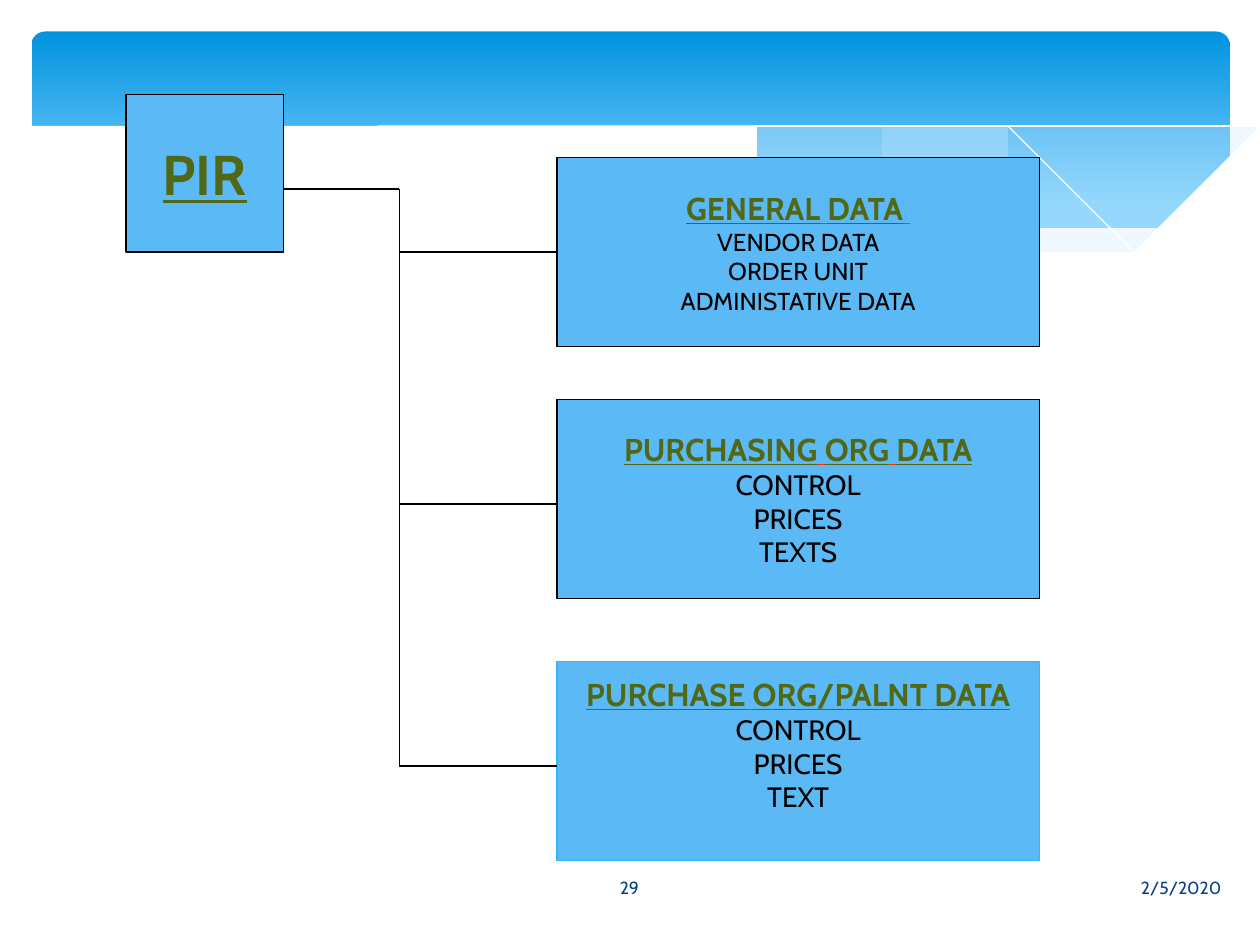
from lxml import etree
from pptx import Presentation
from pptx.dml.color import RGBColor
from pptx.enum.shapes import MSO_CONNECTOR, MSO_SHAPE
from pptx.enum.text import MSO_ANCHOR, PP_ALIGN
from pptx.oxml.ns import qn
from pptx.util import Inches, Pt

RECT, ROUND = MSO_SHAPE.RECTANGLE, MSO_SHAPE.ROUNDED_RECTANGLE
STRAIGHT = MSO_CONNECTOR.STRAIGHT
MIDDLE = MSO_ANCHOR.MIDDLE
CENTER, RIGHT = PP_ALIGN.CENTER, PP_ALIGN.RIGHT
FONT = "Cabin"
BLACK, WHITE, GREEN, RED = "000000", "FFFFFF", "526814", "FF3300"
BOX_FILL, NAVY, PALE = "5BBAF6", "073E87", "C6E7FC"

# Content: heading, lines, line size, top, height, outline, bottom inset, branch y
BOXES = [
    ("GENERAL DATA ", ["VENDOR DATA", "ORDER UNIT", "ADMINISTATIVE DATA"],
     14, 1.25, 1.5, BLACK, 0.05, 2),
    ("PURCHASING ORG DATA", ["CONTROL", "PRICES", "TEXTS"],
     16, 3.17, 1.58, BLACK, 0.05, 4),
    ("PURCHASE ORG/PALNT DATA", ["CONTROL", "PRICES", "TEXT"],
     16, 5.25, 1.58, "31B6FD", 0.32, 6.08),
]
BOX_LEFT, BOX_WIDTH, TRUNK_X, ROOT_Y = 4.42, 3.83, 3.17, 1.5
FOOTERS = [("2/5/2020", 5.65, 4.14, RIGHT), ("29", 4.36, 1.27, CENTER)]

# Header waves: smooth strokes given by their knots, fill, opacity in percent
WAVES = [
    ([[(9.76, 0.94), (8.61, 1.18), (6.61, 1.6)],
      [(6.61, 1.6), (8.14, 1.72), (9.05, 1.63), (9.76, 1.41)]], PALE, 29),
    ([[(8.93, 1.67), (7.41, 1.42), (5.84, 1.06), (4.2, 0.82), (2.86, 0.86)],
      [(2.86, 0.86), (4.49, 1.16), (6.01, 1.5), (7.48, 1.7), (8.93, 1.67)]], PALE, 40),
    ([[(3.09, 0.9), (4.5, 0.82), (6.08, 0.98), (7.6, 1.28), (9.07, 1.66)]], None, 100),
    ([[(6.13, 1.51), (7.48, 1.17), (8.66, 0.93), (9.75, 0.8)]], None, 100),
    ([[(9.77, 1.41), (8.23, 1.71), (6.26, 1.53), (4.47, 1.14), (3.16, 0.88),
       (1.77, 0.78), (0.76, 0.89), (0.23, 1.07)],
      [(0.23, 2.24), (9.77, 2.24)]], WHITE, 100),
]
STEPS = 8


def color(value):
    return RGBColor.from_string(value)


def smooth(knots):
    """Points of a Catmull-Rom curve through the knots."""
    ends = [knots[0], *knots, knots[-1]]
    points = [knots[0]]
    for quad in zip(ends, ends[1:], ends[2:], ends[3:]):
        for step in range(1, STEPS + 1):
            t = step / STEPS
            points.append(tuple(
                b + t / 2 * (c - a + t * (2 * a - 5 * b + 4 * c - d
                                          + t * (3 * b - a - 3 * c + d)))
                for a, b, c, d in zip(*quad)))
    return points


def add_text(p, text, size=16, fill=BLACK, bold=False, underline=False, align=CENTER):
    p.alignment = align
    r = p.add_run()
    r.text = text
    f = r.font
    f.name, f.size, f.bold, f.underline = FONT, Pt(size), bold, underline
    f.color.rgb = color(fill)


def add_heading(p, text, size):
    for i, word in enumerate(text.split(" ")):
        if i:
            add_text(p, " ", size=size, fill=RED, bold=True, underline=True)
        if word:
            add_text(p, word, size=size, fill=GREEN, bold=True, underline=True)


def add_box(s, x, y, w, h, heading, size, outline=BLACK, bottom=0.05):
    sp = s.shapes.add_shape(RECT, Inches(x), Inches(y), Inches(w), Inches(h))
    sp.shadow.inherit = False
    sp.fill.solid()
    sp.fill.fore_color.rgb = color(BOX_FILL)
    sp.line.color.rgb = color(outline)
    sp.line.width = Pt(0.75)
    tf = sp.text_frame
    tf.word_wrap = False
    tf.vertical_anchor = MIDDLE
    tf.margin_bottom = Inches(bottom)
    add_heading(tf.paragraphs[0], heading, size)
    return sp


def add_wave(s, strokes, fill, opacity):
    points = [point for knots in strokes for point in smooth(knots)]
    fb = s.shapes.build_freeform(*points[0], scale=float(Inches(1)))
    fb.add_line_segments(points[1:], close=fill is not None)
    sp = fb.convert_to_shape()
    sp.shadow.inherit = False
    if fill is None:
        sp.fill.background()
        sp.line.color.rgb = color(WHITE)
        sp.line.width = Pt(0)
        return
    sp.line.fill.background()
    sp.fill.solid()
    sp.fill.fore_color.rgb = color(fill)
    if opacity < 100:
        clr = sp._element.spPr.find(qn("a:solidFill")).find(qn("a:srgbClr"))
        etree.SubElement(clr, qn("a:alpha"), val=str(opacity * 1000))


def add_line(s, x1, y1, x2, y2):
    c = s.shapes.add_connector(STRAIGHT, Inches(x1), Inches(y1), Inches(x2), Inches(y2))
    c.line.color.rgb = color(BLACK)
    c.line.width = Pt(0.75)
    etree.SubElement(c._element.spPr, qn("a:effectLst"))
    return c


def main():
    prs = Presentation()
    prs.slide_width, prs.slide_height = Inches(10), Inches(7.5)
    s = prs.slides.add_slide(prs.slide_layouts[6])

    # Header band and waves
    band = s.shapes.add_shape(ROUND, Inches(0.25), Inches(0.25), Inches(9.51), Inches(1.56))
    band.adjustments[0] = 0.07
    band.shadow.inherit = False
    band.line.fill.background()
    band.fill.gradient()
    band.fill.gradient_angle = 270
    for stop, (pos, value) in zip(band.fill.gradient_stops, [(0, "0293E0"), (0.9, "83D3FE")]):
        stop.position = pos
        stop.color.rgb = color(value)
    for wave in WAVES:
        add_wave(s, *wave)

    # Date and slide number
    for text, x, w, align in FOOTERS:
        tf = s.shapes.add_textbox(Inches(x), Inches(6.84), Inches(w), Inches(0.4)).text_frame
        tf.word_wrap = True
        tf.vertical_anchor = MIDDLE
        add_text(tf.paragraphs[0], text, size=10, fill=NAVY, align=align)

    # Root box and trunk
    add_box(s, 1, 0.75, 1.25, 1.25, "PIR", 32)
    add_line(s, 2.25, ROOT_Y, TRUNK_X, ROOT_Y)
    add_line(s, TRUNK_X, ROOT_Y, TRUNK_X, BOXES[-1][-1])

    # Data boxes with their branches
    for heading, lines, size, y, h, outline, bottom, branch_y in BOXES:
        sp = add_box(s, BOX_LEFT, y, BOX_WIDTH, h, heading, 18, outline, bottom)
        for line in lines:
            add_text(sp.text_frame.add_paragraph(), line, size=size)
        branch = add_line(s, TRUNK_X, branch_y, BOX_LEFT, branch_y)
        if abs(y + h / 2 - branch_y) < 0.01:
            branch.end_connect(sp, 1)

    prs.save("out.pptx")


if __name__ == "__main__":
    main()
